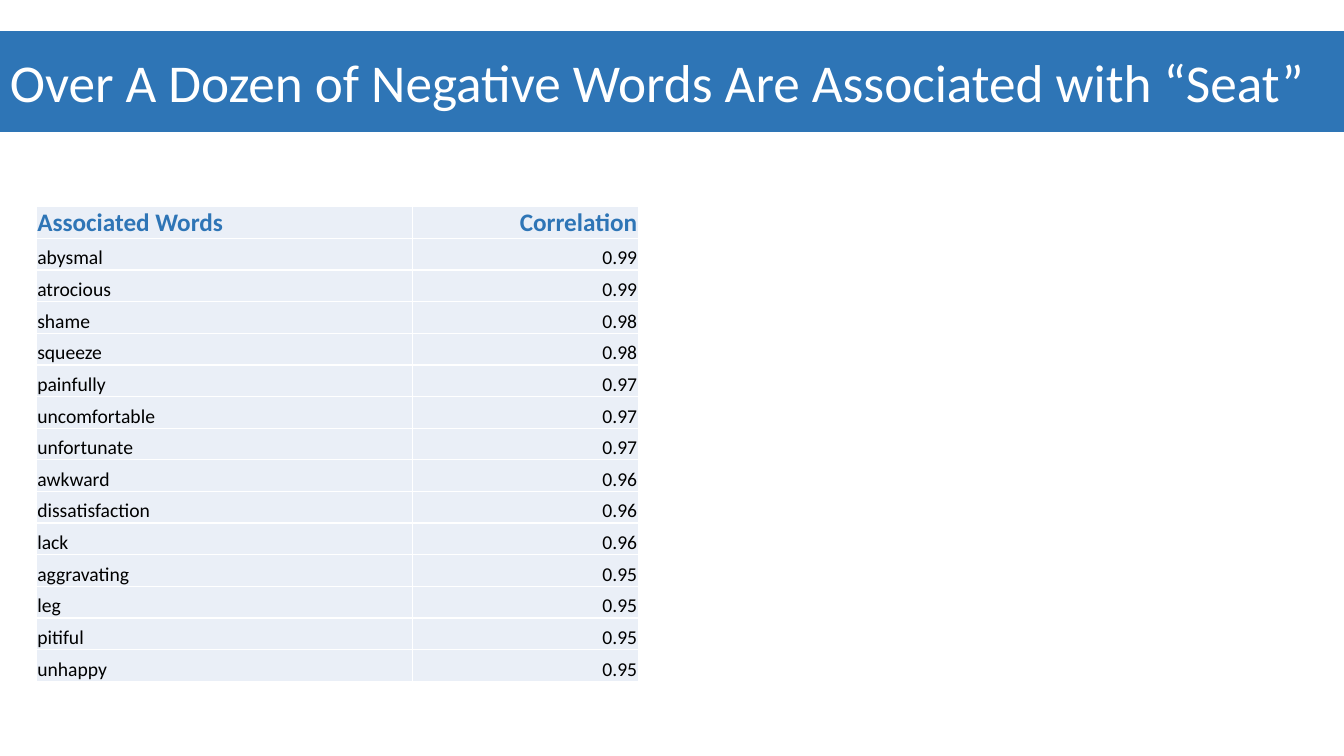
from lxml import etree
from pptx import Presentation
from pptx.dml.color import RGBColor
from pptx.enum.shapes import MSO_SHAPE
from pptx.enum.text import MSO_ANCHOR, PP_ALIGN
from pptx.oxml.ns import qn
from pptx.util import Inches, Pt

RECT = MSO_SHAPE.RECTANGLE
MIDDLE, BOTTOM = MSO_ANCHOR.MIDDLE, MSO_ANCHOR.BOTTOM
LEFT, RIGHT = PP_ALIGN.LEFT, PP_ALIGN.RIGHT
BLUE, PALE, WHITE, BLACK = "2E75B6", "EAEFF7", "FFFFFF", "000000"

ROWS = [
    ("Associated Words", "Correlation"),
    ("abysmal", "0.99"),
    ("atrocious", "0.99"),
    ("shame", "0.98"),
    ("squeeze", "0.98"),
    ("painfully", "0.97"),
    ("uncomfortable", "0.97"),
    ("unfortunate", "0.97"),
    ("awkward", "0.96"),
    ("dissatisfaction", "0.96"),
    ("lack", "0.96"),
    ("aggravating", "0.95"),
    ("leg", "0.95"),
    ("pitiful", "0.95"),
    ("unhappy", "0.95"),
]
COL_WIDTHS = (3.73, 2.24)
TABLE_H = 4.71


def paint(fmt, color):
    fmt.solid()
    fmt.fore_color.rgb = RGBColor.from_string(color)


def style_text(p, size, color, align, bold=False):
    p.alignment = align
    font = p.runs[0].font
    font.name, font.size, font.bold = "Calibri", Pt(size), bold
    paint(font.fill, color)


prs = Presentation()
prs.slide_width, prs.slide_height = Inches(13.33), Inches(7.5)
slide = prs.slides.add_slide(prs.slide_layouts[6])

# Word table
table = slide.shapes.add_table(
    len(ROWS), len(COL_WIDTHS), Inches(0.36), Inches(2.05),
    Inches(sum(COL_WIDTHS)), Inches(TABLE_H)).table
table.first_row = table.horz_banding = False
for col, width in zip(table.columns, COL_WIDTHS):
    col.width = Inches(width)

for r, values in enumerate(ROWS):
    table.rows[r].height = Inches(TABLE_H / len(ROWS))
    for c, value in enumerate(values):
        cell = table.cell(r, c)
        cell.text_frame.text = value
        cell.vertical_anchor = BOTTOM
        cell.margin_left = cell.margin_right = cell.margin_top = Inches(0.01)
        cell.margin_bottom = 0
        header = r == 0
        style_text(cell.text_frame.paragraphs[0], 18 if header else 14,
                   BLUE if header else BLACK, RIGHT if c else LEFT, header)
        # White borders go before the fill in the cell properties
        tc_pr = cell._tc.get_or_add_tcPr()
        for side in ("a:lnL", "a:lnR", "a:lnT", "a:lnB"):
            ln = etree.SubElement(tc_pr, qn(side), w=str(Pt(1)))
            fill = etree.SubElement(ln, qn("a:solidFill"))
            etree.SubElement(fill, qn("a:srgbClr"), val=WHITE)
        paint(cell.fill, PALE)

# Title band
sp = slide.shapes.add_shape(RECT, 0, Inches(0.31), prs.slide_width, Inches(1))
sp.shadow.inherit = False
paint(sp.fill, BLUE)
sp.line.fill.background()
tf = sp.text_frame
tf.word_wrap = True
tf.vertical_anchor = MIDDLE
tf.text = "Over A Dozen of Negative Words Are Associated with “Seat”"
style_text(tf.paragraphs[0], 38, WHITE, LEFT)

prs.save("out.pptx")
